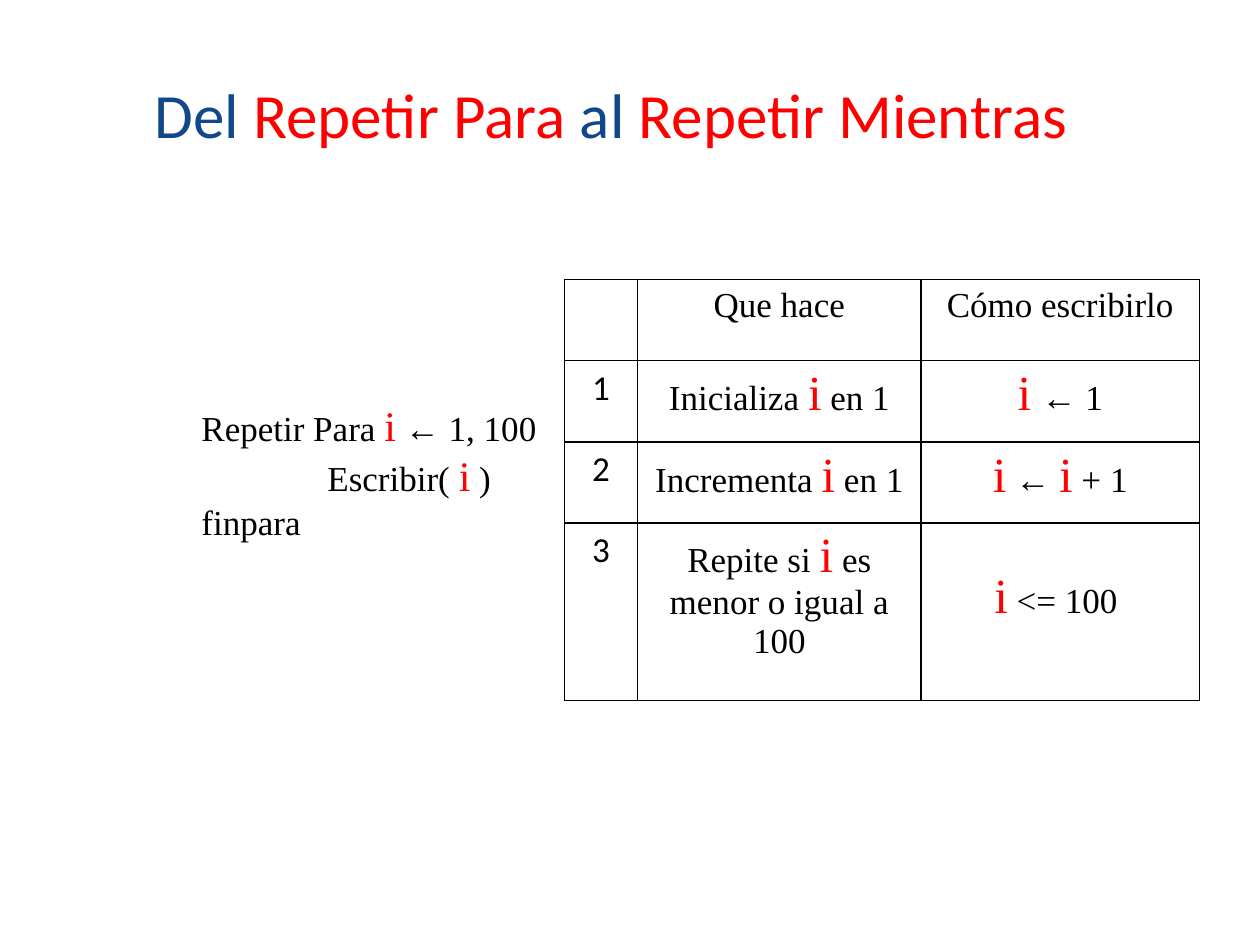
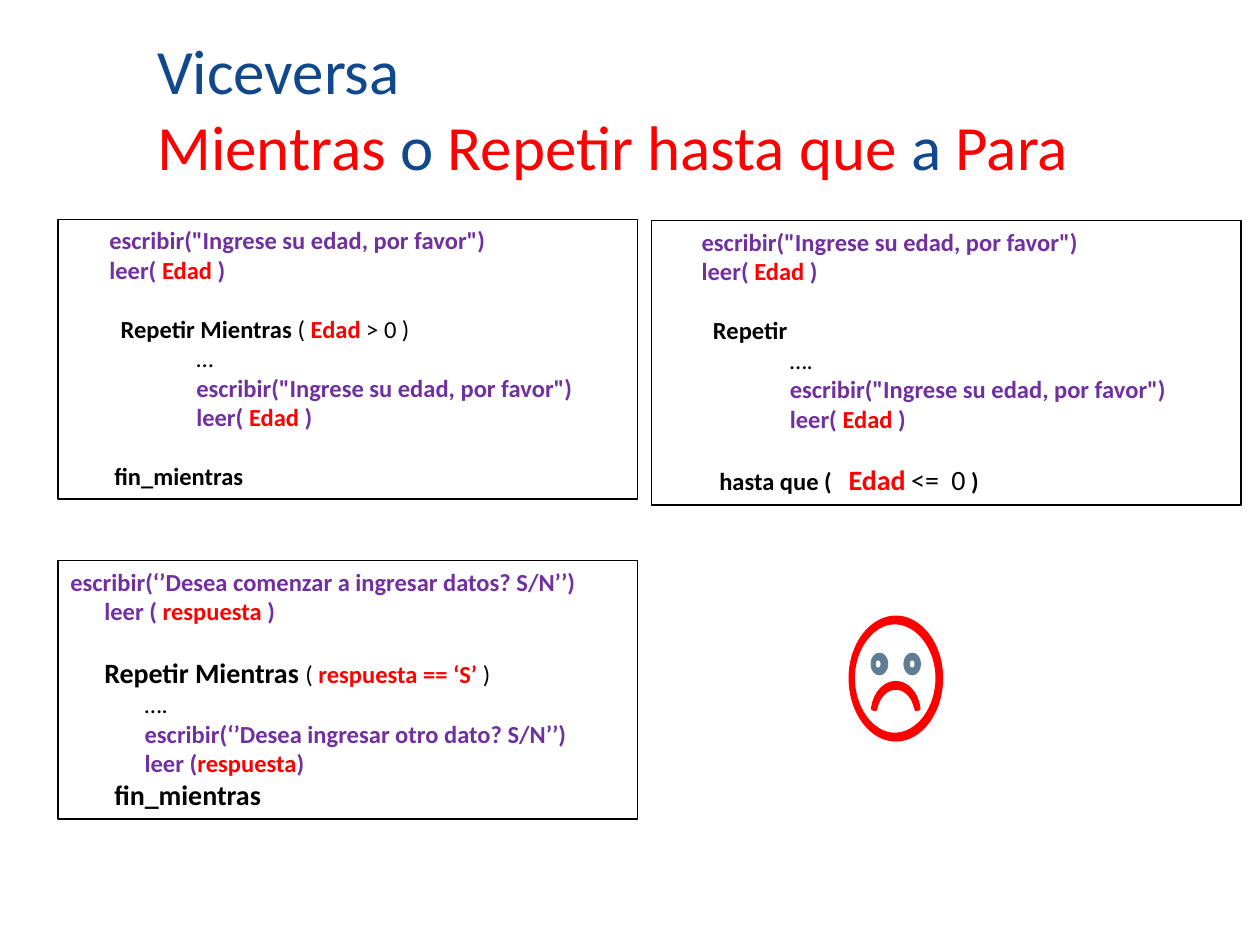
from lxml.etree import SubElement
from pptx import Presentation
from pptx.dml.color import RGBColor
from pptx.enum.shapes import MSO_SHAPE as Shape
from pptx.enum.text import MSO_ANCHOR as Anchor, PP_ALIGN as Align
from pptx.oxml.ns import qn
from pptx.util import Pt

PX = 9144
SIZE = (1000, 750)
BLUE = RGBColor(0x11, 0x47, 0x8B)
RED = RGBColor(0xFF, 0x00, 0x00)
BLACK = RGBColor(0x00, 0x00, 0x00)
VIOLET = RGBColor(0x70, 0x30, 0xA0)
SLATE = RGBColor(0x5F, 0x7D, 0x95)
SANS, SERIF = "Calibri", "Times New Roman"

STYLES = {
    "head": (SANS, 36, BLUE, False),
    "hot": (SANS, 36, RED, False),
    "num": (SANS, 20, BLACK, False),
    "text": (SERIF, 20, BLACK, False),
    "i": (SERIF, 24, RED, False),
    "I": (SERIF, 28, RED, False),
    "call": (SANS, 14, VIOLET, True),
    "var": (SANS, 14, RED, True),
    "VAR": (SANS, 16, RED, True),
    "key": (SANS, 14, BLACK, True),
    "KEY": (SANS, 16, BLACK, True),
    "plain": (SANS, 14, BLACK, False),
    "PLAIN": (SANS, 16, BLACK, False),
    "wide": (SANS, 14, BLACK, True),
    "mid": (SANS, 14, BLACK, False),
}
SPREAD = {"wide": 630, "mid": 390}

TITLES = [
    ((113, 0, 843, 125), [
        (0, 0, [("Del ", "head"), ("Repetir Para ", "hot"), ("al ", "head"),
                ("Repetir Mientras", "hot")]),
    ]),
    ((115, 25, 843, 125), [
        (0, 0, [("Viceversa", "head")]),
        (0, 0, [("Mientras ", "hot"), ("o", "head"), (" Repetir hasta que ", "hot"),
                ("a", "head"), (" Para", "hot")]),
    ]),
]

LOOP = ((150, 312, 342, 155), [
    (0, 0, [("Repetir Para ", "text"), ("i", "i"), (" ← 1, 100", "text")]),
    (100, 0, [("Escribir( ", "text"), ("i", "i"), (" )", "text")]),
    (0, 0, [("finpara", "text")]),
])

GRID = (448, 222)
COLS = (58, 225, 221)
ROWS = (64, 65, 64, 141)
DROP = 37
CELLS = [
    [[], [("Que hace", "text")], [("Cómo escribirlo", "text")]],
    [[("1", "num")],
     [("Inicializa ", "text"), ("i", "I"), (" en 1", "text")],
     [("i", "I"), (" ", "i"), ("← 1", "text")]],
    [[("2", "num")],
     [("Incrementa ", "text"), ("i", "I"), (" en 1", "text")],
     [("i", "I"), (" ← ", "text"), ("i", "I"), (" + 1", "text")]],
    [[("3", "num")],
     [("Repite si ", "text"), ("i", "I"), (" es menor o igual a 100", "text")],
     [("i", "I"), (" <= 100 ", "text")]],
]

GAP = 17
ASK = [("escribir(\"Ingrese su edad, por favor\")", "call")]
READ = [("leer( ", "call"), ("Edad", "var"), (" )", "call")]
CODES = [
    ((46, 174, 460, 222), [
        (31, 0, ASK),
        (31, 0, READ),
        (40, GAP, [("Repetir Mientras ", "key"), ("( ", "plain"), ("Edad", "var"),
                   (" > 0 )", "plain")]),
        (100, 0, [("…", "plain")]),
        (100, 0, ASK),
        (100, 0, READ),
        (35, GAP, [("fin_mientras", "key")]),
    ]),
    ((517, 175, 468, 226), [
        (30, 0, ASK),
        (30, 0, READ),
        (39, GAP, [("Repetir", "key")]),
        (100, 0, [("….", "plain")]),
        (100, 0, ASK),
        (100, 0, READ),
        (44, GAP, [("hasta que (", "key"), (" ", "wide"), ("Edad", "VAR"),
                   (" ", "key"), ("<=", "PLAIN"), (" ", "mid"), ("0", "PLAIN"),
                   (" )", "key")]),
    ]),
    ((46, 445, 460, 205), [
        (0, 0, [("escribir(‘’Desea comenzar a ingresar datos? S/N’’)", "call")]),
        (27, 0, [("leer ( ", "call"), ("respuesta ", "var"), (")", "call")]),
        (27, GAP, [("Repetir Mientras ", "KEY"), ("( ", "plain"),
                   ("respuesta == ‘S’ ", "var"), (")", "plain")]),
        (59, 0, [("….", "plain")]),
        (59, 0, [("escribir(‘’Desea ingresar otro dato? S/N’’)", "call")]),
        (59, 0, [("leer (", "call"), ("respuesta", "var"), (")", "call")]),
        (35, 0, [("fin_mientras", "KEY")]),
    ]),
]

RINGS = [
    ((674, 489, 74, 99), (678, 495, 65, 87), RED, True),
    ((691, 518, 14, 18), (695, 524, 4, 6), SLATE, False),
    ((717, 518, 14, 18), (722, 524, 4, 6), SLATE, False),
]
MID = 711
SMILE = [(711, 541), (702, 541), (694, 549), (692, 561), (691, 562), (692, 564),
         (694, 564), (695, 564), (696, 564), (696, 562), (698, 553), (704, 547),
         (711, 547)]
BEND = 0.55


def emu(box):
    return [n * PX for n in box]


def fill_line(para, runs):
    for text, name in runs:
        run = para.add_run()
        run.text = text
        font = run.font
        font.name, size, font.color.rgb, font.bold = STYLES[name]
        font.size = Pt(size)
        if name in SPREAD:
            run._r.get_or_add_rPr().set("spc", str(SPREAD[name]))


def write(shape, lines, anchor=Anchor.TOP):
    frame = shape.text_frame
    frame.word_wrap = True
    frame.vertical_anchor = anchor
    for k, (left, gap, runs) in enumerate(lines):
        para = frame.add_paragraph() if k else frame.paragraphs[0]
        para.alignment = Align.LEFT
        para.space_before = Pt(gap)
        para._p.get_or_add_pPr().set("marL", str(left * PX))
        fill_line(para, runs)


def edge(cell):
    props = cell._tc.get_or_add_tcPr()
    for k, side in enumerate(("a:lnL", "a:lnR", "a:lnT", "a:lnB")):
        line = props.makeelement(qn(side), {"w": str(Pt(1))})
        solid = SubElement(line, qn("a:solidFill"))
        SubElement(solid, qn("a:srgbClr"), val=str(BLACK))
        props.insert(k, line)


def add_grid(slide):
    size = (sum(COLS), sum(ROWS))
    table = slide.shapes.add_table(len(ROWS), len(COLS), *emu(GRID + size)).table
    for col, wide in zip(table.columns, COLS):
        col.width = wide * PX
    for row, high in zip(table.rows, ROWS):
        row.height = high * PX
    for r, line in enumerate(CELLS):
        for c, runs in enumerate(line):
            cell = table.cell(r, c)
            cell.fill.background()
            edge(cell)
            para = cell.text_frame.paragraphs[0]
            para.alignment = Align.CENTER
            fill_line(para, runs)
    table.cell(len(ROWS) - 1, len(COLS) - 1).margin_top = DROP * PX


def add_code(slide, box, lines):
    shape = slide.shapes.add_shape(Shape.RECTANGLE, *emu(box))
    shape.shadow.inherit = False
    shape.fill.background()
    shape.line.color.rgb = BLACK
    shape.line.width = Pt(0.75)
    write(shape, lines)


def oval(box):
    x, y, w, h = box
    b = BEND
    unit = [(0, -1), (b, -1), (1, -b), (1, 0), (1, b), (b, 1), (0, 1),
            (-b, 1), (-1, b), (-1, 0), (-1, -b), (-b, -1), (0, -1)]
    return [(x + w / 2 * (1 + u), y + h / 2 * (1 + v)) for u, v in unit]


def curve(shape):
    lines = list(shape._element.iter(qn("a:lnTo")))
    for k in range(0, len(lines), 3):
        bend = lines[k].makeelement(qn("a:cubicBezTo"), {})
        lines[k].addprevious(bend)
        for line in lines[k:k + 3]:
            bend.append(line[0])
            line.getparent().remove(line)


def draw(slide, loops, color, lined):
    pen = slide.shapes.build_freeform(*loops[0][0], scale=PX)
    for k, spots in enumerate(loops):
        if k:
            pen.move_to(*spots[0])
        pen.add_line_segments(spots[1:], close=True)
    shape = pen.convert_to_shape()
    curve(shape)
    shape.shadow.inherit = False
    shape.fill.solid()
    shape.fill.fore_color.rgb = color
    if lined:
        shape.line.color.rgb = color
        shape.line.width = Pt(0.75)
    else:
        shape.line.fill.background()


def add_face(slide):
    for outer, inner, color, lined in RINGS:
        draw(slide, [oval(outer), oval(inner)[::-1]], color, lined)
    twin = [(2 * MID - x, y) for x, y in SMILE[-2::-1]]
    draw(slide, [SMILE + twin], RED, True)


def main():
    deck = Presentation()
    deck.slide_width, deck.slide_height = emu(SIZE)
    slides = []
    for box, lines in TITLES:
        slide = deck.slides.add_slide(deck.slide_layouts[6])
        write(slide.shapes.add_textbox(*emu(box)), lines, Anchor.BOTTOM)
        slides.append(slide)
    first, second = slides
    add_grid(first)
    box, lines = LOOP
    write(first.shapes.add_textbox(*emu(box)), lines)
    for box, lines in CODES:
        add_code(second, box, lines)
    add_face(second)
    deck.save("out.pptx")


if __name__ == "__main__":
    main()
